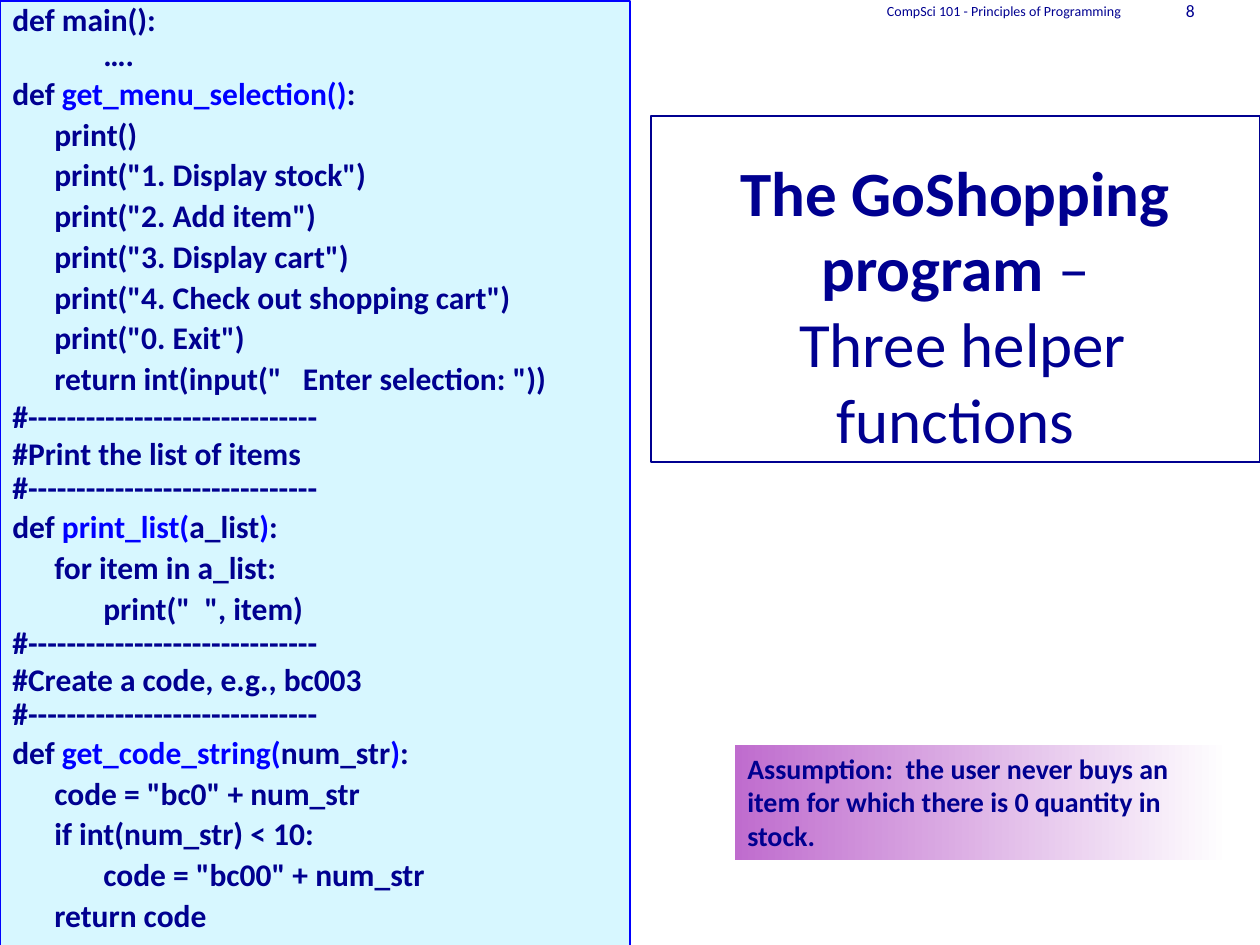
import pptx
import pptx.util
import pptx.dml.color
import pptx.enum.shapes
import pptx.enum.text
from lxml import etree

NAVY, BLUE, WHITE = "000090", "0000FF", "FFFFFF"
FONT = "Calibri"
PX = 914400 // 126
TABS = [42, 91, 149, 207]
RULE = "#------------------------------"

# Line spacing and text; parts between ~ marks are blue.
CODE = [
    (0.8, "def main():"),
    (0.6, "\t\t…."),
    (0.8, "def ~get_menu_selection()~:"),
    (0.8, "\tprint()"),
    (0.8, "\tprint(\"1. Display stock\")"),
    (0.8, "\tprint(\"2. Add item\")"),
    (0.8, "\tprint(\"3. Display cart\")"),
    (0.8, "\tprint(\"4. Check out shopping cart\")"),
    (0.8, "\tprint(\"0. Exit\")"),
    (0.8, "\treturn int(input(\"   Enter selection: \"))"),
    (0.7, RULE),
    (0.7, "#Print the list of items"),
    (0.6, RULE),
    (0.8, "def ~print_list(~a_list~)~:"),
    (0.8, "\tfor item in a_list:"),
    (0.8, "\t\tprint(\"  \", item)"),
    (0.6, RULE),
    (0.7, "#Create a code, e.g., bc003"),
    (0.6, RULE),
    (0.8, "def ~get_code_string(~num_str~)~:"),
    (0.8, "\tcode = \"bc0\" + num_str"),
    (0.8, "\tif int(num_str) < 10:"),
    (0.8, "\t\tcode = \"bc00\" + num_str"),
    (0.8, "\treturn code"),
]
TITLE = ["The GoShopping program ", "–\v Three helper functions"]
NOTE = ("Assumption:  the user never buys an item for which "
        "there is 0 quantity in stock.")
# Text, box and size
HEADS = [
    ("8", (1134, 0, 73, 21), 10),
    ("CompSci 101 - Principles of Programming", (756, 0, 378, 21), 8),
]

ALIGN = pptx.enum.text.PP_ALIGN
ANCHOR = pptx.enum.text.MSO_ANCHOR
RECT = pptx.enum.shapes.MSO_SHAPE.RECTANGLE


def rgb(code):
    return pptx.dml.color.RGBColor.from_string(code)


def emu(box):
    return [v * PX for v in box]


def style(font, size, bold=False, color=NAVY):
    font.name, font.size, font.bold = FONT, pptx.util.Pt(size), bold
    font.color.rgb = rgb(color)


def paint(shape, fill, line):
    shape.fill.solid()
    shape.fill.fore_color.rgb = rgb(fill)
    shape.line.color.rgb = rgb(line)
    shape.line.width = pptx.util.Pt(0.75)


def panel(slide, box):
    shape = slide.shapes.add_shape(RECT, *emu(box))
    shape.shadow.inherit = False
    frame = shape.text_frame
    frame.word_wrap = True
    frame.vertical_anchor = ANCHOR.TOP
    return shape, frame


def set_tabs(para):
    props = para._p.get_or_add_pPr()
    tag = "{http://schemas.openxmlformats.org/drawingml/2006/main}"
    stops = etree.SubElement(props, tag + "tabLst")
    for pos in TABS:
        etree.SubElement(stops, tag + "tab", pos=str(pos * PX), algn="l")


def add_heads(slide):
    for text, box, size in HEADS:
        frame = slide.shapes.add_textbox(*emu(box)).text_frame
        frame.word_wrap = True
        frame.vertical_anchor = ANCHOR.MIDDLE
        frame.text = text
        para = frame.paragraphs[0]
        para.alignment = ALIGN.RIGHT
        style(para.runs[0].font, size)


def add_code(slide):
    shape, frame = panel(slide, (0, 1, 630, 949))
    paint(shape, "D7F7FF", BLUE)
    frame.text = "\n".join(text.replace("~", "") for _, text in CODE)
    for para, (space, text) in zip(frame.paragraphs, CODE):
        para.text = ""
        para.alignment = ALIGN.LEFT
        para.line_spacing = space
        para.space_before = pptx.util.Pt(6)
        set_tabs(para)
        for i, part in enumerate(text.split("~")):
            run = para.add_run()
            run.text = part
            style(run.font, 18, True, BLUE if i % 2 else NAVY)


def add_title(slide):
    title = slide.shapes.title
    title.left, title.top, title.width, title.height = emu((651, 116, 609, 346))
    paint(title, WHITE, NAVY)
    frame = title.text_frame
    frame.word_wrap = True
    frame.auto_size = pptx.enum.text.MSO_AUTO_SIZE.NONE
    frame.vertical_anchor = ANCHOR.BOTTOM
    para = frame.paragraphs[0]
    para.text = "".join(TITLE)
    first, last = para.runs
    cut = len(TITLE[0])
    dash = first.text[cut:]
    first.text = TITLE[0]
    style(first.font, 36, True)
    style(last.font, 36)
    extra = para.add_run()
    extra.text = dash
    style(extra.font, 36)
    first._r.addnext(extra._r)
    para.alignment = ALIGN.CENTER


def add_note(slide):
    shape, frame = panel(slide, (735, 745, 494, 115))
    shape.line.fill.background()
    shape.fill.gradient()
    shape.fill.gradient_angle = 0
    for stop, color in zip(shape.fill.gradient_stops, ("BF6CCE", WHITE)):
        stop.color.rgb = rgb(color)
    frame.text = NOTE
    para = frame.paragraphs[0]
    para.alignment = ALIGN.LEFT
    style(para.runs[0].font, 16, True)


def main():
    deck = pptx.Presentation()
    deck.slide_width, deck.slide_height = emu((1260, 945))
    slide = deck.slides.add_slide(deck.slide_layouts[5])
    add_heads(slide)
    add_code(slide)
    add_title(slide)
    add_note(slide)
    deck.save("out.pptx")


if __name__ == "__main__":
    main()
